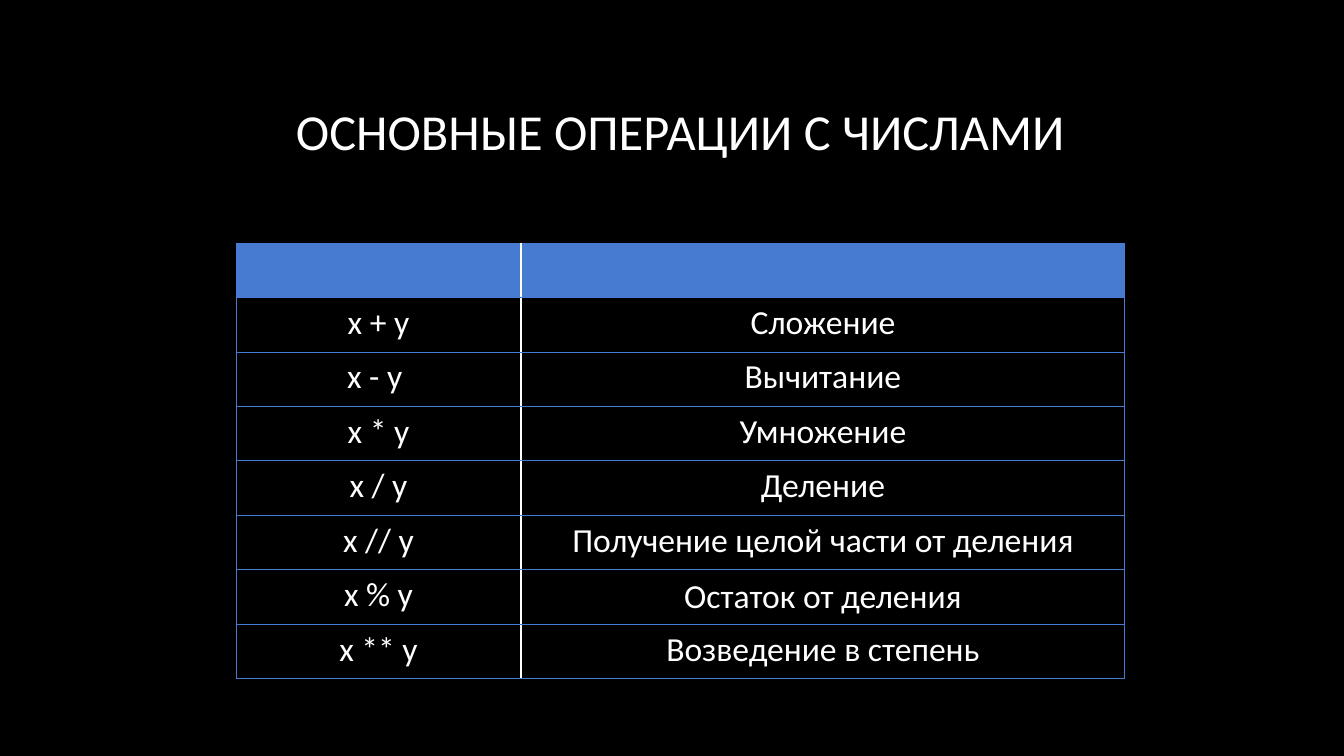
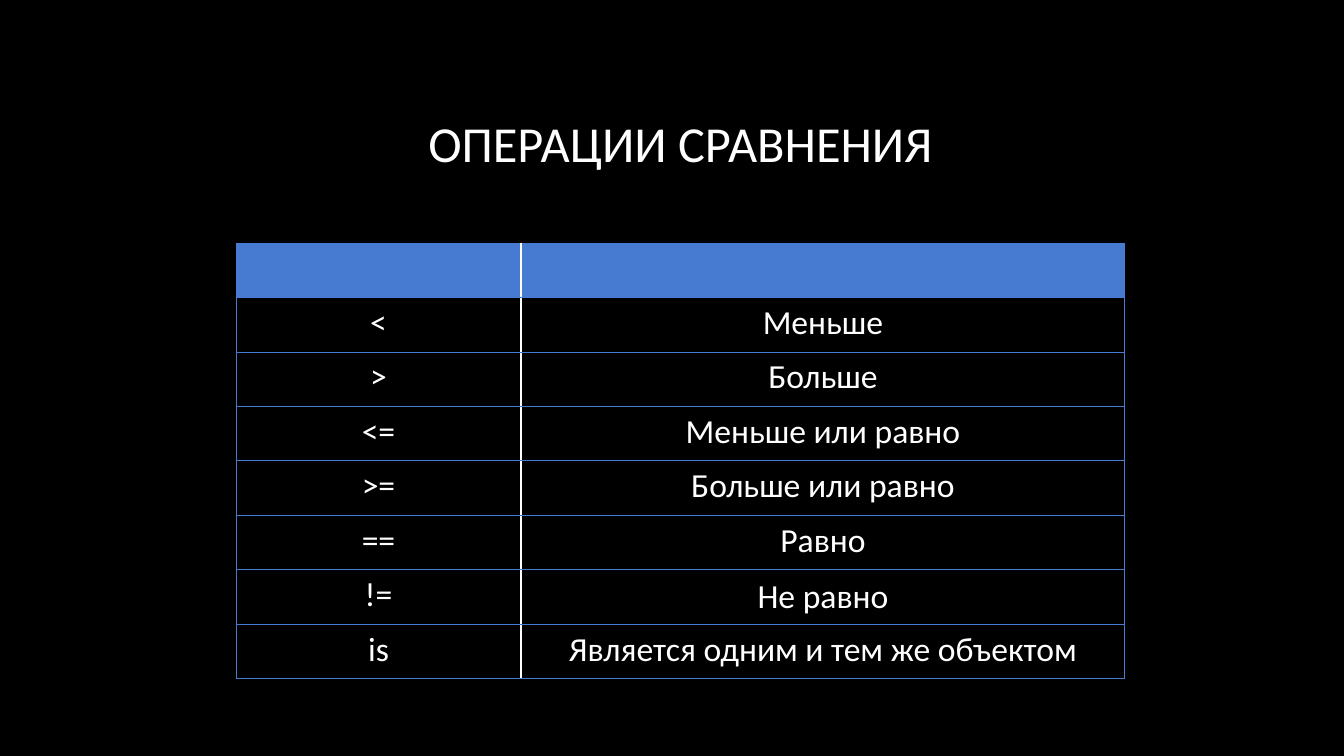
"""Build two slides with tables of number operations and comparison operations."""
from dataclasses import dataclass

from lxml import etree
from pptx import Presentation
from pptx import util as u
from pptx.dml.color import RGBColor
from pptx.enum import text
from pptx.oxml import ns

BLACK = RGBColor(0x00, 0x00, 0x00)
WHITE = RGBColor(0xFF, 0xFF, 0xFF)
BLUE = RGBColor(0x47, 0x7B, 0xD1)
FONT = "Calibri"
TITLE_SIZE = u.Pt(36)
CELL_SIZE = u.Pt(24)
BORDER_WIDTH = u.Pt(0.75)
PX_PER_INCH = 100.8
SLIDE_WIDTH, SLIDE_HEIGHT = 1344, 756
TITLE_LEFT, TITLE_WIDTH, TITLE_HEIGHT = 122, 1117, 160
TABLE_LEFT, TABLE_TOP, TABLE_HEIGHT = 236, 243, 436
COLUMN_WIDTHS = (285, 604)
TITLE_ONLY_LAYOUT = 5


@dataclass(frozen=True)
class Operation:
    """An operator with its meaning."""

    sign: str
    meaning: str
    meaning_anchor: text.MSO_ANCHOR = text.MSO_ANCHOR.TOP


@dataclass(frozen=True)
class OperationSlide:
    """A title with its table of operations."""

    title: str
    title_top: int
    operations: tuple[Operation, ...]


SLIDES = (
    OperationSlide("ОСНОВНЫЕ ОПЕРАЦИИ С ЧИСЛАМИ", 50, (
        Operation("x + y", "Сложение"),
        Operation("x - y ", "Вычитание"),
        Operation("x * y", "Умножение"),
        Operation("x / y", "Деление"),
        Operation("x // y", "Получение целой части от деления"),
        Operation("x % y", "Остаток от деления", text.MSO_ANCHOR.MIDDLE),
        Operation("x ** y", "Возведение в степень"),
    )),
    OperationSlide("ОПЕРАЦИИ СРАВНЕНИЯ", 62, (
        Operation("<", "Меньше"),
        Operation(">", "Больше"),
        Operation("<=", "Меньше или равно"),
        Operation(">=", "Больше или равно"),
        Operation("==", "Равно"),
        Operation("!=", "Не равно", text.MSO_ANCHOR.MIDDLE),
        Operation("is", "Является одним и тем же объектом"),
    )),
)


def px(length: int) -> u.Emu:
    """Turn a length in px into EMU."""
    return u.Emu(round(length * u.Inches(1) / PX_PER_INCH))


def write(frame, content: str, size: u.Pt) -> None:
    """Write one centred white run into a text frame."""
    paragraph = frame.paragraphs[0]
    paragraph.alignment = text.PP_ALIGN.CENTER
    run = paragraph.add_run()
    run.text = content
    run.font.name = FONT
    run.font.size = size
    run.font.color.rgb = WHITE


def add_borders(cell, sides: str) -> None:
    """Draw blue borders on the named sides of a cell, in the order LRTB."""
    properties = cell._tc.get_or_add_tcPr()
    for side in sides:
        line = etree.SubElement(properties, ns.qn(f"a:ln{side}"), w=str(BORDER_WIDTH))
        fill = etree.SubElement(line, ns.qn("a:solidFill"))
        etree.SubElement(fill, ns.qn("a:srgbClr"), val=str(BLUE))


def format_cell(cell, sides: str, color: RGBColor) -> None:
    """Give a cell its borders and fill."""
    add_borders(cell, sides)
    cell.fill.solid()
    cell.fill.fore_color.rgb = color


def add_title(slide, content: str, top: int) -> None:
    """Place and fill the title placeholder."""
    title = slide.shapes.title
    title.left, title.top = px(TITLE_LEFT), px(top)
    title.width, title.height = px(TITLE_WIDTH), px(TITLE_HEIGHT)
    title.text_frame.auto_size = text.MSO_AUTO_SIZE.NONE
    title.text_frame.vertical_anchor = text.MSO_ANCHOR.MIDDLE
    write(title.text_frame, content, TITLE_SIZE)


def add_operation_table(slide, operations: tuple[Operation, ...]) -> None:
    """Add a table with an empty header and a row per operation."""
    table = slide.shapes.add_table(
        len(operations) + 1, len(COLUMN_WIDTHS), px(TABLE_LEFT), px(TABLE_TOP),
        px(sum(COLUMN_WIDTHS)), px(TABLE_HEIGHT)).table
    for column, width in zip(table.columns, COLUMN_WIDTHS):
        column.width = px(width)
    for index, row in enumerate(table.rows):
        for cell, outer_side in zip(row.cells, "LR"):
            format_cell(cell, outer_side + "TB", BLACK if index else BLUE)
    for index, operation in enumerate(operations, start=1):
        sign, meaning = table.rows[index].cells
        write(sign.text_frame, operation.sign, CELL_SIZE)
        write(meaning.text_frame, operation.meaning, CELL_SIZE)
        meaning.vertical_anchor = operation.meaning_anchor


def main() -> None:
    """Build and save the presentation."""
    presentation = Presentation()
    presentation.slide_width = px(SLIDE_WIDTH)
    presentation.slide_height = px(SLIDE_HEIGHT)
    background = presentation.slide_master.background.fill
    background.solid()
    background.fore_color.rgb = BLACK
    layout = presentation.slide_layouts[TITLE_ONLY_LAYOUT]
    for content in SLIDES:
        slide = presentation.slides.add_slide(layout)
        add_title(slide, content.title, content.title_top)
        add_operation_table(slide, content.operations)
    presentation.save("out.pptx")


if __name__ == "__main__":
    main()
